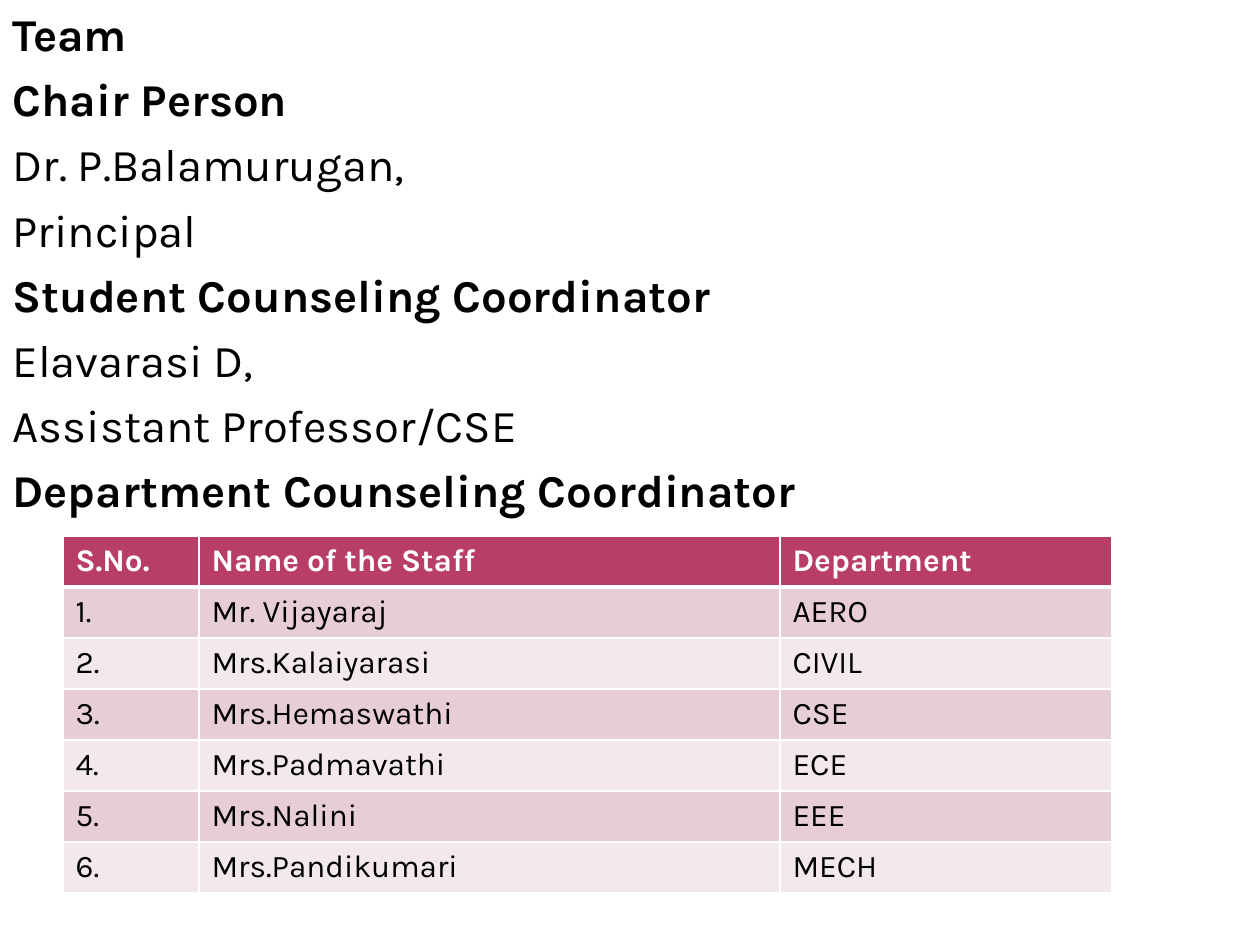
from dataclasses import dataclass

from lxml.etree import SubElement
from pptx import Presentation
from pptx.dml.color import RGBColor
from pptx.enum.text import MSO_ANCHOR, MSO_AUTO_SIZE, PP_ALIGN
from pptx.oxml.ns import qn
from pptx.util import Emu, Pt

PX_PER_INCH = 126


@dataclass(frozen=True)
class Theme:
    font: str = "Karla"
    text: str = "000000"
    white: str = "FFFFFF"
    header: str = "B83D68"
    bands: tuple = ("E6CED4", "F3E8EB")
    body_size: int = 26
    table_size: int = 18
    space_before: int = 6
    rule: int = 1
    header_rule: int = 3


THEME = Theme()

TEAM = [
    ("Team", True),
    ("Chair Person", True),
    ("Dr. P.Balamurugan,", False),
    ("Principal", False),
    ("Student Counseling Coordinator", True),
    ("Elavarasi D,", False),
    ("Assistant Professor/CSE", False),
    ("Department Counseling Coordinator", True),
]

HEADINGS = ("S.No.", "Name of the Staff", "Department")
STAFF = [
    ("Mr. Vijayaraj", "AERO"),
    ("Mrs.Kalaiyarasi", "CIVIL"),
    ("Mrs.Hemaswathi", "CSE"),
    ("Mrs.Padmavathi", "ECE"),
    ("Mrs.Nalini", "EEE"),
    ("Mrs.Pandikumari", "MECH"),
]
COLUMN_WIDTHS = (136, 581, 332)
ROW_HEIGHT = 51


def px(n):
    return Emu(round(n * 914400 / PX_PER_INCH))


def add_run(p, text, size, color, bold):
    r = p.add_run()
    r.text = text
    r.font.name = THEME.font
    r.font.size = Pt(size)
    r.font.bold = bold
    r.font.color.rgb = RGBColor.from_string(color)


def fill_body(sp, lines):
    sp.left, sp.top, sp.width, sp.height = px(0), px(0), px(1124), px(945)
    tf = sp.text_frame
    tf.word_wrap = True
    tf.auto_size = MSO_AUTO_SIZE.NONE
    tf.vertical_anchor = MSO_ANCHOR.TOP
    for i, (text, bold) in enumerate(lines):
        p = tf.paragraphs[0] if i == 0 else tf.add_paragraph()
        pPr = p._p.get_or_add_pPr()
        pPr.set("marL", str(px(38)))
        pPr.set("indent", str(px(-38)))
        SubElement(pPr, qn("a:buNone"))
        p.alignment = PP_ALIGN.LEFT
        p.space_before = Pt(THEME.space_before if i else 0)
        add_run(p, text, THEME.body_size, THEME.text, bold)


def set_borders(cell, top, bottom):
    tcPr = cell._tc.get_or_add_tcPr()
    widths = {"lnL": THEME.rule, "lnR": THEME.rule, "lnT": top, "lnB": bottom}
    for tag, width in widths.items():
        ln = SubElement(tcPr, qn(f"a:{tag}"), w=str(Pt(width)))
        fill = SubElement(ln, qn("a:solidFill"))
        SubElement(fill, qn("a:srgbClr"), val=THEME.white)


def fill_cell(cell, text, row):
    is_header = row == 0
    top = THEME.header_rule if row == 1 else THEME.rule
    bottom = THEME.header_rule if is_header else THEME.rule
    set_borders(cell, top, bottom)
    cell.fill.solid()
    color = THEME.header if is_header else THEME.bands[(row - 1) % 2]
    cell.fill.fore_color.rgb = RGBColor.from_string(color)
    text_color = THEME.white if is_header else THEME.text
    add_run(cell.text_frame.paragraphs[0], text, THEME.table_size, text_color, is_header)


def add_staff_table(s, rows):
    frame = s.shapes.add_table(
        len(rows), len(COLUMN_WIDTHS), px(63), px(536),
        px(sum(COLUMN_WIDTHS)), px(ROW_HEIGHT * len(rows)),
    )
    table = frame.table
    for column, width in zip(table.columns, COLUMN_WIDTHS):
        column.width = px(width)
    for i, values in enumerate(rows):
        table.rows[i].height = px(ROW_HEIGHT)
        for j, text in enumerate(values):
            fill_cell(table.cell(i, j), text, i)


def main():
    prs = Presentation()
    prs.slide_width, prs.slide_height = px(1260), px(945)
    s = prs.slides.add_slide(prs.slide_layouts[1])
    title = s.shapes.title._element
    title.getparent().remove(title)
    fill_body(s.placeholders[1], TEAM)
    numbered = [(f"{n}.", *member) for n, member in enumerate(STAFF, 1)]
    add_staff_table(s, [HEADINGS, *numbered])
    prs.save("out.pptx")


if __name__ == "__main__":
    main()
